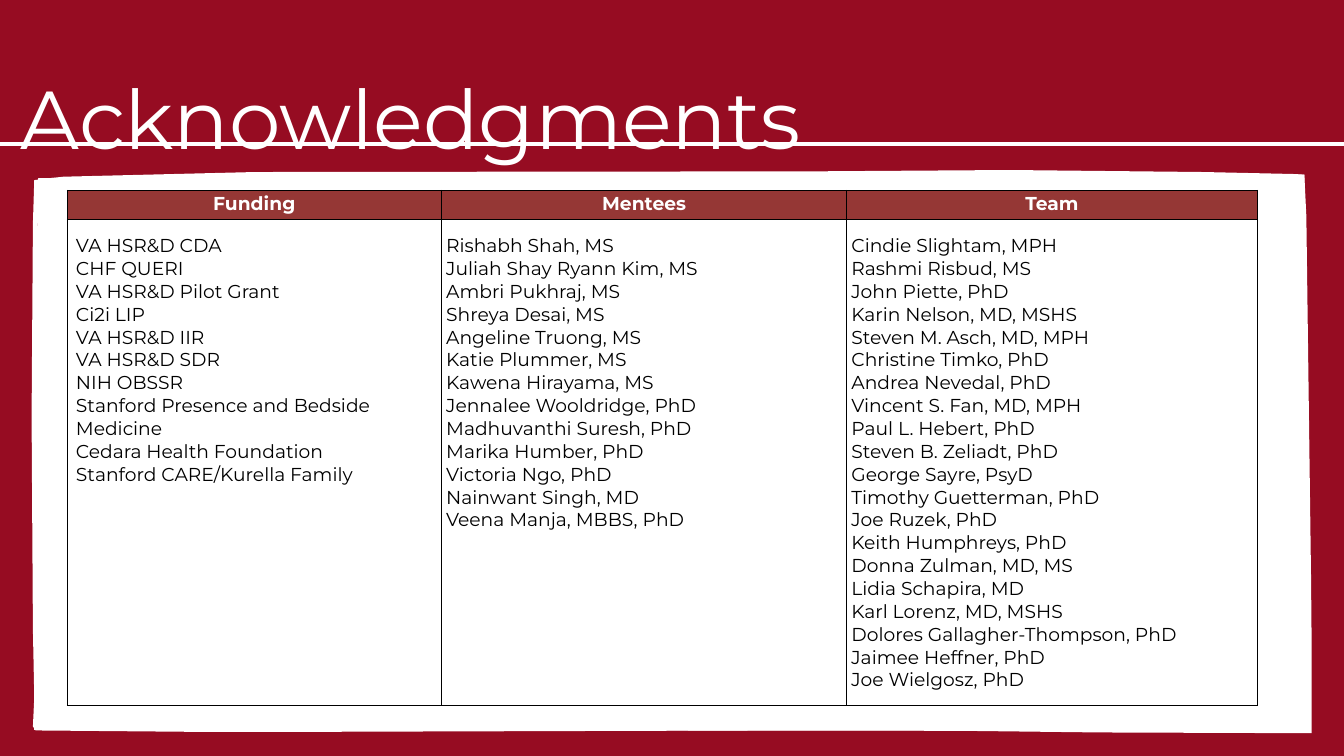
from dataclasses import dataclass

from lxml import etree
from pptx import Presentation
from pptx.dml.color import RGBColor
from pptx.enum.shapes import MSO_CONNECTOR
from pptx.enum.text import MSO_AUTO_SIZE, PP_ALIGN
from pptx.oxml.ns import qn
from pptx.util import Inches, Pt

STRAIGHT = MSO_CONNECTOR.STRAIGHT
FIT_SHAPE = MSO_AUTO_SIZE.SHAPE_TO_FIT_TEXT
CENTER, LEFT = PP_ALIGN.CENTER, PP_ALIGN.LEFT
BLANK_LAYOUT = 6


@dataclass(frozen=True)
class Theme:
    font: str = "Montserrat"
    background: str = "960C22"
    header: str = "953735"
    light: str = "FFFFFF"
    dark: str = "000000"
    title_size: float = 88
    title_leading: float = 123.2
    table_size: float = 20
    rule_width: float = 4.5
    border_width: float = 1


PANEL = [(19.48, 10.88), (0.51, 10.86), (0.51, 5.51), (0.57, 2.65), (9.96, 2.59), (19.41, 2.6)]
EDGE_OUTSIDE = [
    (19.41, 2.6), (19.44, 3.22), (19.51, 8.62), (19.52, 9.75), (19.52, 10.91),
    (19.27, 10.91), (16.36, 10.9), (13.85, 10.87), (11.4, 10.87), (4.88, 10.89),
    (2.81, 10.89), (0.53, 10.87), (0.49, 10.81), (0.51, 10.38), (0.49, 9.37),
    (0.47, 6.2), (0.49, 3.32), (0.51, 2.68), (0.94, 2.63), (3.8, 2.56),
    (12.14, 2.55), (15.03, 2.53), (17.91, 2.56), (19.27, 2.59),
]
EDGE_INSIDE = [
    (19.45, 10.86), (19.45, 9.16), (19.39, 3.34), (19.36, 2.74), (19.22, 2.67),
    (17.98, 2.63), (15.25, 2.61), (12.78, 2.61), (5.24, 2.63), (3.28, 2.64),
    (0.63, 2.7), (0.58, 2.77), (0.55, 3.68), (0.57, 9.07), (0.58, 10.2),
    (0.57, 10.75), (0.62, 10.8), (1.99, 10.8), (5.53, 10.82), (13.82, 10.8),
    (16.1, 10.82), (19.08, 10.86),
]

COLUMN_WIDTHS = [5.57, 6.03, 6.11]
ROW_HEIGHTS = [0.43, 7.24]
BODY_INDENTS = [0.13, 0.07, 0.07]
ACKNOWLEDGMENTS = {
    "Funding": [
        "VA HSR&D CDA", "CHF QUERI", "VA HSR&D Pilot Grant", "Ci2i LIP",
        "VA HSR&D IIR", "VA HSR&D SDR", "NIH OBSSR",
        "Stanford Presence and Bedside Medicine",
        "Cedara Health Foundation", "Stanford CARE/Kurella Family",
    ],
    "Mentees": [
        "Rishabh Shah, MS", "Juliah Shay Ryann Kim, MS", "Ambri Pukhraj, MS",
        "Shreya Desai, MS", "Angeline Truong, MS", "Katie Plummer, MS",
        "Kawena Hirayama, MS", "Jennalee Wooldridge, PhD",
        "Madhuvanthi Suresh, PhD", "Marika Humber, PhD", "Victoria Ngo, PhD",
        "Nainwant Singh, MD", "Veena Manja, MBBS, PhD",
    ],
    "Team": [
        "Cindie Slightam, MPH", "Rashmi Risbud, MS", "John Piette, PhD",
        "Karin Nelson, MD, MSHS", "Steven M. Asch, MD, MPH",
        "Christine Timko, PhD", "Andrea Nevedal, PhD", "Vincent S. Fan, MD, MPH",
        "Paul L. Hebert, PhD", "Steven B. Zeliadt, PhD", "George Sayre, PsyD",
        "Timothy Guetterman, PhD", "Joe Ruzek, PhD", "Keith Humphreys, PhD",
        "Donna Zulman, MD, MS", "Lidia Schapira, MD", "Karl Lorenz, MD, MSHS",
        "Dolores Gallagher-Thompson, PhD", "Jaimee Heffner, PhD", "Joe Wielgosz, PhD",
    ],
}


class SlideBuilder:
    def __init__(self, slide, theme):
        self.slide = slide
        self.theme = theme
        self.paint(slide.background.fill, theme.background)

    def paint(self, fill, color):
        fill.solid()
        fill.fore_color.rgb = RGBColor.from_string(color)

    def add_lines(self, frame, lines, size, color, bold=False, align=LEFT):
        """Add each line as a paragraph and return the paragraphs."""
        for index, line in enumerate(lines):
            paragraph = frame.add_paragraph() if index else frame.paragraphs[0]
            paragraph.alignment = align
            run = paragraph.add_run()
            run.text = line
            run.font.name = self.theme.font
            run.font.size = Pt(size)
            run.font.bold = bold
            run.font.color.rgb = RGBColor.from_string(color)
        return frame.paragraphs

    def outline(self, shapes, *contours):
        """Draw one white freeform from closed contours given in inches."""
        builder = None
        for contour in contours:
            start, *points = [(Inches(x), Inches(y)) for x, y in contour]
            if builder is None:
                builder = shapes.build_freeform(*start)
            else:
                builder.move_to(*start)
            builder.add_line_segments(points, close=True)
        shape = builder.convert_to_shape()
        shape.shadow.inherit = False
        self.paint(shape.fill, self.theme.light)
        shape.line.fill.background()

    def panel(self):
        group = self.slide.shapes.add_group_shape()
        self.outline(group.shapes, PANEL)
        self.outline(group.shapes, EDGE_OUTSIDE, EDGE_INSIDE)

    def title(self, text, left, top, width, height):
        box = self.slide.shapes.add_textbox(Inches(left), Inches(top), Inches(width), Inches(height))
        frame = box.text_frame
        frame.word_wrap = True
        frame.auto_size = FIT_SHAPE
        frame.margin_left = frame.margin_top = frame.margin_right = frame.margin_bottom = 0
        paragraphs = self.add_lines(frame, [text], self.theme.title_size, self.theme.light)
        paragraphs[0].line_spacing = Pt(self.theme.title_leading)

    def rule(self, left, right, y):
        line = self.slide.shapes.add_connector(STRAIGHT, Inches(left), Inches(y), Inches(right), Inches(y))
        line.line.color.rgb = RGBColor.from_string(self.theme.light)
        line.line.width = Pt(self.theme.rule_width)
        etree.SubElement(line._element.spPr, qn("a:effectLst"))

    def border(self, cell):
        properties = cell._tc.get_or_add_tcPr()
        for side in ("a:lnL", "a:lnR", "a:lnT", "a:lnB"):
            line = etree.SubElement(properties, qn(side), w=str(Pt(self.theme.border_width)))
            fill = etree.SubElement(line, qn("a:solidFill"))
            etree.SubElement(fill, qn("a:srgbClr"), val=self.theme.dark)

    def prepare_cell(self, cell, left=0.07, top=0.03):
        self.border(cell)
        cell.margin_left, cell.margin_right = Inches(left), Inches(0.07)
        cell.margin_top, cell.margin_bottom = Inches(top), Inches(0.03)

    def table(self, content, left, top):
        theme = self.theme
        table = self.slide.shapes.add_table(
            len(ROW_HEIGHTS), len(content), Inches(left), Inches(top),
            Inches(sum(COLUMN_WIDTHS)), Inches(sum(ROW_HEIGHTS))).table
        table.first_row = table.horz_banding = False
        for row, height in zip(table.rows, ROW_HEIGHTS):
            row.height = Inches(height)
        for index, (heading, names) in enumerate(content.items()):
            table.columns[index].width = Inches(COLUMN_WIDTHS[index])
            header, body = table.cell(0, index), table.cell(1, index)
            self.prepare_cell(header)
            self.paint(header.fill, theme.header)
            self.add_lines(header.text_frame, [heading], theme.table_size, theme.light, True, CENTER)
            self.prepare_cell(body, BODY_INDENTS[index], 0.23)
            body.fill.background()
            self.add_lines(body.text_frame, names, theme.table_size, theme.dark)


def main():
    presentation = Presentation()
    presentation.slide_width, presentation.slide_height = Inches(20), Inches(11.25)
    slide = presentation.slides.add_slide(presentation.slide_layouts[BLANK_LAYOUT])
    builder = SlideBuilder(slide, Theme())
    builder.panel()
    builder.title("Acknowledgments", 0.31, 0.76, 19.38, 1.64)
    builder.rule(0, 20, 2.14)
    builder.table(ACKNOWLEDGMENTS, 1, 2.83)
    presentation.save("out.pptx")


if __name__ == "__main__":
    main()
